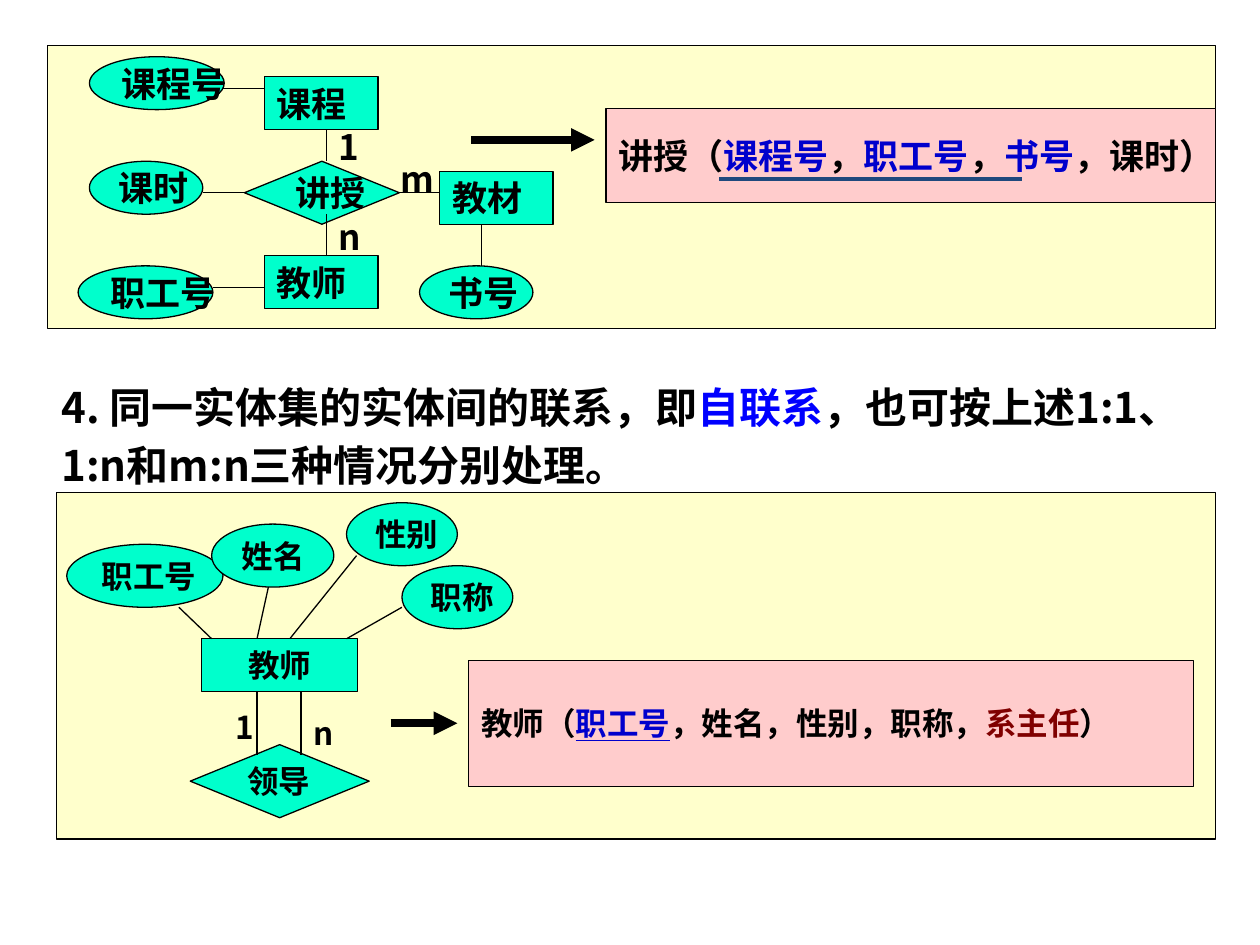
from lxml import etree
from pptx import Presentation
from pptx.dml.color import RGBColor
from pptx.enum.shapes import MSO_CONNECTOR, MSO_SHAPE
from pptx.enum.text import MSO_ANCHOR, MSO_AUTO_SIZE, PP_ALIGN
from pptx.oxml.ns import qn
from pptx.util import Inches, Pt

RECTANGLE = MSO_SHAPE.RECTANGLE
ELLIPSE = MSO_SHAPE.OVAL
DECISION = MSO_SHAPE.FLOWCHART_DECISION
DIAMOND = MSO_SHAPE.DIAMOND
STRAIGHT = MSO_CONNECTOR.STRAIGHT
MIDDLE = MSO_ANCHOR.MIDDLE
LEFT, CENTER = PP_ALIGN.LEFT, PP_ALIGN.CENTER
FIT_SHAPE = MSO_AUTO_SIZE.SHAPE_TO_FIT_TEXT

THEME = {
    "font": "Noto Sans CJK SC",
    "panel": "FFFFCC", "node": "00FFCC", "relation": "FFCCCC",
    "ink": "000000", "key": "0000CC", "foreign": "800000",
    "term": "0000FF", "rule": "1F497D",
    "body": 24, "teaching": 20, "leading": 18,
    "thin": 0.75, "underline": 2.25, "arrow": 4.5,
}

TEACHING = {
    "size": "teaching",
    "panel": (0.38, 0.36, 9.27, 2.25),
    "nodes": [
        ("课程", RECTANGLE, (2.1, 0.61, 0.9, 0.42), LEFT),
        ("教师", RECTANGLE, (2.1, 2.03, 0.9, 0.42), LEFT),
        ("教材", RECTANGLE, (3.49, 1.36, 0.9, 0.42), LEFT),
        ("讲授", DECISION, (1.94, 1.28, 1.23, 0.5), LEFT),
        ("课程号", ELLIPSE, (0.71, 0.45, 1.07, 0.42), LEFT),
        ("职工号", ELLIPSE, (0.62, 2.11, 1.07, 0.42), LEFT),
        ("书号", ELLIPSE, (3.33, 2.11, 0.9, 0.42), LEFT),
        ("课时", ELLIPSE, (0.71, 1.28, 0.9, 0.42), LEFT),
    ],
    "links": [
        (2.59, 1.03, 2.59, 1.28), (2.59, 1.7, 2.59, 2.03),
        (3.17, 1.53, 3.49, 1.53), (1.61, 1.53, 1.94, 1.53),
        (3.82, 1.78, 3.82, 2.11), (1.77, 0.7, 2.1, 0.7),
        (1.69, 2.28, 2.1, 2.28),
    ],
    "cardinalities": [
        ("n", (2.59, 1.66, 0.49, 0.44)),
        ("1", (2.59, 0.95, 0.49, 0.44)),
        ("m", (3.08, 1.2, 0.49, 0.44)),
    ],
    "arrow": (3.74, 1.11, 4.72, 1.11),
    "relation": (4.81, 0.86, 4.84, 0.75),
    "schema": [
        ("讲授（", "ink"), ("课程号", "key"), ("，", "ink"), ("职工号", "key"),
        ("，", "ink"), ("书号", "key"), ("，课时）", "ink"),
    ],
    "key_rule": (5.71, 1.42, 8.11, 1.42),
}

LEADING = {
    "size": "leading",
    "panel": (0.45, 3.91, 9.2, 2.75),
    "nodes": [
        ("教师", RECTANGLE, (1.6, 5.07, 1.24, 0.42), CENTER),
        ("领导", DIAMOND, (1.51, 5.91, 1.42, 0.58), LEFT),
        ("职工号", ELLIPSE, (0.53, 4.32, 1.24, 0.5), LEFT),
        ("姓名", ELLIPSE, (1.68, 4.16, 0.97, 0.5), LEFT),
        ("性别", ELLIPSE, (2.75, 3.99, 0.88, 0.5), LEFT),
        ("职称", ELLIPSE, (3.19, 4.49, 0.88, 0.5), LEFT),
    ],
    "links": [
        (2.04, 5.49, 2.04, 5.99), (2.39, 5.49, 2.39, 5.99),
        (1.42, 4.82, 1.68, 5.07), (2.13, 4.66, 2.04, 5.07),
        (2.83, 4.41, 2.3, 5.07), (3.19, 4.82, 2.75, 5.07),
    ],
    "cardinalities": [
        ("1", (1.77, 5.57, 0.35, 0.4)),
        ("n", (2.39, 5.62, 0.35, 0.4)),
    ],
    "arrow": (3.1, 5.74, 3.63, 5.74),
    "relation": (3.72, 5.24, 5.75, 1),
    "schema": [
        ("教师（", "ink"), ("职工号", "key", True),
        ("，姓名，性别，职称，", "ink"), ("系主任", "foreign"), ("）", "ink"),
    ],
}

STATEMENT_BOX = (0.39, 2.92, 9.09, 0.99)
STATEMENT = [
    ("4. 同一实体集的实体间的联系，即", "ink"), ("自联系", "term"),
    ("，也可按上述1:1、1:n和m:n三种情况分别处理。", "ink"),
]


def color(name):
    return RGBColor.from_string(THEME[name])


def write(shape, pieces, size, align=LEFT):
    paragraph = shape.text_frame.paragraphs[0]
    paragraph.alignment = align
    for text, color_name, *underlined in pieces:
        run = paragraph.add_run()
        run.text = text
        font = run.font
        font.name, font.size, font.bold = THEME["font"], Pt(THEME[size]), True
        font.color.rgb = color(color_name)
        if underlined:
            font.underline = True
        east_asian = etree.SubElement(run._r.get_or_add_rPr(), qn("a:ea"))
        east_asian.set("typeface", THEME["font"])
    return paragraph


def add_box(shapes, kind, box, fill):
    shape = shapes.add_shape(kind, *map(Inches, box))
    shape.shadow.inherit = False
    shape.fill.solid()
    shape.fill.fore_color.rgb = color(fill)
    shape.line.color.rgb = color("ink")
    shape.line.width = Pt(THEME["thin"])
    shape.text_frame.word_wrap = False
    shape.text_frame.vertical_anchor = MIDDLE
    return shape


def add_text(shapes, box, pieces, size):
    text_box = shapes.add_textbox(*map(Inches, box))
    text_box.text_frame.word_wrap = True
    text_box.text_frame.auto_size = FIT_SHAPE
    return write(text_box, pieces, size)


def add_line(shapes, ends, width="thin", color_name="ink", arrow=False):
    connector = shapes.add_connector(STRAIGHT, *map(Inches, ends))
    connector.line.color.rgb = color(color_name)
    connector.line.width = Pt(THEME[width])
    if arrow:
        head = etree.SubElement(connector.line._get_or_add_ln(), qn("a:tailEnd"))
        head.set("type", "triangle")
    etree.SubElement(connector._element.spPr, qn("a:effectLst"))


def add_diagram(slide, diagram):
    shapes = slide.shapes.add_group_shape().shapes
    size = diagram["size"]
    add_box(shapes, RECTANGLE, diagram["panel"], "panel")
    for text, kind, box, align in diagram["nodes"]:
        write(add_box(shapes, kind, box, "node"), [(text, "ink")], size, align)
    for ends in diagram["links"]:
        add_line(shapes, ends)
    for text, box in diagram["cardinalities"]:
        add_text(shapes, box, [(text, "ink")], size)
    add_line(shapes, diagram["arrow"], "arrow", arrow=True)
    relation = add_box(shapes, RECTANGLE, diagram["relation"], "relation")
    write(relation, diagram["schema"], size)
    if "key_rule" in diagram:
        add_line(shapes, diagram["key_rule"], "underline", "rule")


def main():
    presentation = Presentation()
    presentation.slide_width, presentation.slide_height = Inches(10), Inches(7.5)
    slide = presentation.slides.add_slide(presentation.slide_layouts[6])
    add_diagram(slide, TEACHING)
    add_diagram(slide, LEADING)
    statement = add_text(slide.shapes, STATEMENT_BOX, STATEMENT, "body")
    statement.line_spacing = Pt(33)
    presentation.save("out.pptx")


if __name__ == "__main__":
    main()
